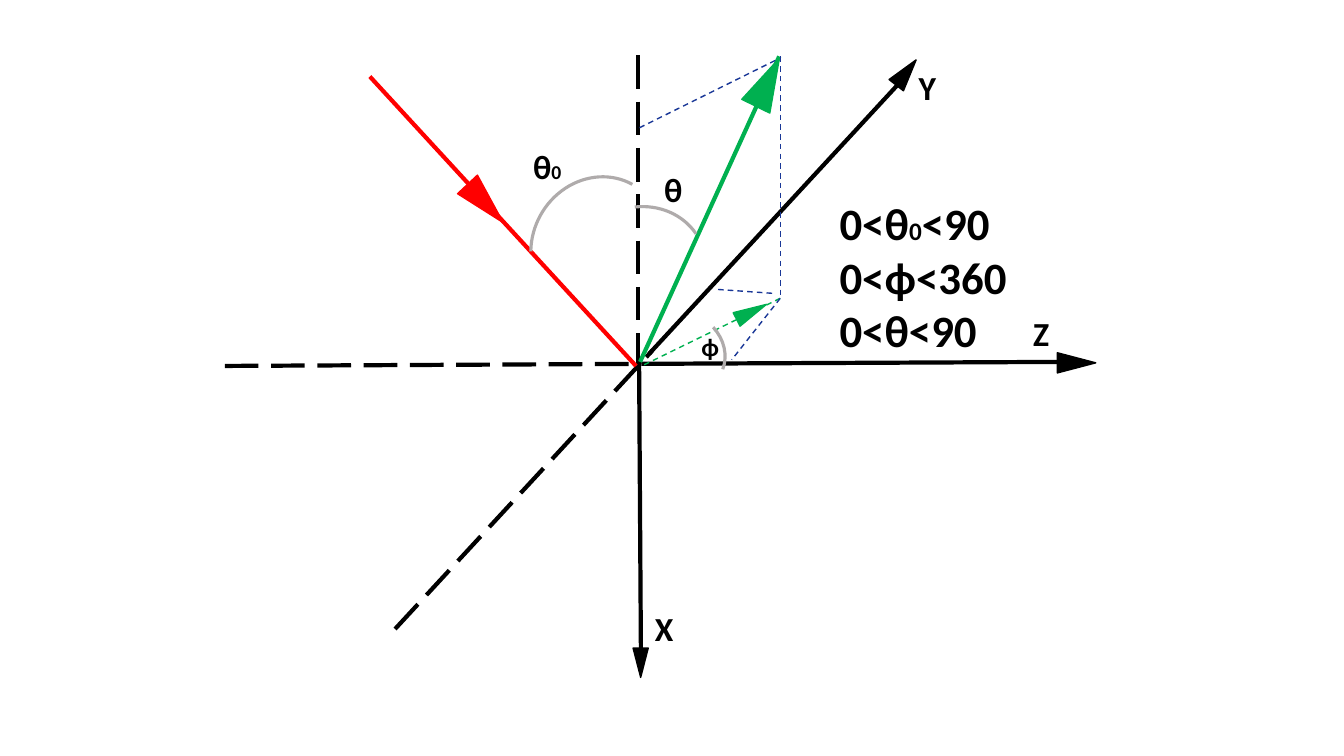
import pptx
import pptx.dml.color
import pptx.enum.dml
import pptx.enum.shapes
import pptx.enum.text
import pptx.oxml
import pptx.util

Pt = pptx.util.Pt
SHAPE = pptx.enum.shapes.MSO_SHAPE
DASH = pptx.enum.dml.MSO_LINE.DASH
LONG_DASH = pptx.enum.dml.MSO_LINE.LONG_DASH
FONT = "Calibri"
COLORS = {"axis": "000000", "incident": "FF0000", "scattered": "00B050",
          "projection": "193797", "angle": "AFABAB"}


def rgb(name):
    """Return the named colour."""
    return pptx.dml.color.RGBColor.from_string(COLORS[name])


def add_line(s, box, start, end, color, width=3, dash=None):
    """Draw a line between two points of the box."""
    x, y = box[:2]
    sp = s.shapes.add_connector(pptx.enum.shapes.MSO_CONNECTOR.STRAIGHT,
                                Pt(x + start[0]), Pt(y + start[1]),
                                Pt(x + end[0]), Pt(y + end[1]))
    sp.line.color.rgb = rgb(color)
    sp.line.width = Pt(width)
    if dash:
        sp.line.dash_style = dash
    pptx.oxml.ns  # namespace prefixes used below
    sp._element.spPr.append(pptx.oxml.parse_xml(
        '<a:effectLst xmlns:a="http://schemas.openxmlformats.org/drawingml/2006/main"/>'))


def add_centered(s, box, kind, center, size, rotation, color, width):
    """Place a rotated shape by its centre within the box."""
    sp = s.shapes.add_shape(kind, Pt(box[0] + center[0] - size[0] / 2),
                            Pt(box[1] + center[1] - size[1] / 2),
                            Pt(size[0]), Pt(size[1]))
    sp.rotation = rotation
    sp.shadow.inherit = False
    sp.line.color.rgb = rgb(color)
    sp.line.width = Pt(width)
    return sp


def add_head(s, box, center, size, rotation, color):
    """Draw a filled triangular arrowhead."""
    sp = add_centered(s, box, SHAPE.FLOWCHART_EXTRACT, center, size, rotation, color, 1)
    sp.fill.solid()
    sp.fill.fore_color.rgb = rgb(color)


def add_arc(s, box, center, size, rotation, start):
    """Draw an angle arc."""
    sp = add_centered(s, box, SHAPE.ARC, center, size, rotation, "angle", 2.25)
    sp.fill.background()
    sp.adjustments[0] = start
    sp.adjustments[1] = 0


def add_text(s, box, paragraphs, centered=False):
    """Write paragraphs of (text, size) runs in the box."""
    tf = s.shapes.add_textbox(*map(Pt, box)).text_frame
    tf.word_wrap = centered
    if centered:
        tf.vertical_anchor = pptx.enum.text.MSO_ANCHOR.MIDDLE
    for i, runs in enumerate(paragraphs):
        p = tf.add_paragraph() if i else tf.paragraphs[0]
        p.alignment = (pptx.enum.text.PP_ALIGN.CENTER if centered
                       else pptx.enum.text.PP_ALIGN.LEFT)
        for text, size in runs:
            r = p.add_run()
            r.text = text
            r.font.name = FONT
            r.font.size = Pt(size)
            r.font.bold = True
            r.font.color.rgb = rgb("axis")


def add_label(s, box, left, top, *runs):
    """Write a centred label at a point of the box."""
    add_text(s, (box[0] + left, box[1] + top, 54.7, 43.2), [runs], centered=True)


def add_axes(s, box):
    """Draw the three axes with their heads and names."""
    for start, end, dash in [
            ((0.6, 221.4), (300.1, 219.9), LONG_DASH),
            ((300.1, 219.9), (599.6, 218.5), None),
            ((296.5, 217.8), (297.9, 438.8), None),
            ((295.8, -0.4), (295.8, 220.6), LONG_DASH),
            ((122.2, 409.3), (305.8, 210.6), LONG_DASH),
            ((303.7, 212.7), (487.3, 14), None)]:
        add_line(s, box, start, end, "axis", dash=dash)
    for name, center, size, rotation, left, top in [
            ("X", (297.6, 433.4), (10.8, 20.9), 180, 287.1, 387),
            ("Y", (487.3, 11.8), (13, 23), 38.2, 475, 0.3),
            ("Z", (609, 219.2), (14.4, 27.4), 90, 556.4, 176)]:
        add_head(s, box, center, size, rotation, "axis")
        add_label(s, box, left, top, (name, 24))


def add_rays(s, box):
    """Draw the incident and scattered rays."""
    add_line(s, box, (297.2, 218.5), (396.6, 0.3), "scattered")
    add_line(s, box, (294.3, 221.4), (104.2, 14.7), "incident")
    add_head(s, box, (186.7, 105.4), (19.4, 37.4), 136.9, "incident")
    add_head(s, box, (388.3, 18.7), (22.3, 38.2), 26.2, "scattered")


def add_projections(s, box):
    """Draw the dashed projections of the scattered ray."""
    foot = (397.3, 173.1)
    for start, end, color in [
            ((397.3, 0.3), foot, "projection"),
            (foot, (300.1, 220.6), "scattered"),
            ((393.7, 3.2), (296.5, 51.4), "projection"),
            (foot, (362.7, 217), "projection"),
            ((391.5, 169.5), (350.5, 166.6), "projection")]:
        add_line(s, box, start, end, color, 1, DASH)
    add_head(s, box, (376.8, 182.8), (10.8, 23.8), 63.2, "scattered")


def add_angles(s, box):
    """Draw the angle arcs and their symbols."""
    add_arc(s, box, (267, 136.4), (102.2, 93.6), 298.9, 142.37)
    add_arc(s, box, (324.9, 212), (67, 59), 20.6, 181.69)
    add_arc(s, box, (295, 155.8), (102.2, 93.6), 325.7, 181.48)
    add_label(s, box, 203.6, 57.2, ("θ", 24), ("0", 14))
    add_label(s, box, 293.6, 73.8, ("θ", 24))
    add_text(s, (box[0] + 333.9, box[1] + 193.3, 27.4, 28.8), [[("ϕ", 18)]])


def add_ranges(s, box):
    """List the ranges of the angles."""
    add_text(s, box, [[("0<θ", 32), ("0", 18), ("<90", 32)],
                      [("0<ϕ<360", 32)],
                      [("0<θ<90", 32)]])


def main():
    """Build the slide and save it."""
    prs = pptx.Presentation()
    prs.slide_width, prs.slide_height = Pt(960), Pt(540)
    s = prs.slides.add_slide(prs.slide_layouts[6])
    diagram = (160, 40, 640, 450)
    for draw in (add_axes, add_rays, add_projections, add_angles):
        draw(s, diagram)
    add_ranges(s, (592.6, 136.1, 135.4, 123.8))
    prs.save("out.pptx")


main()
